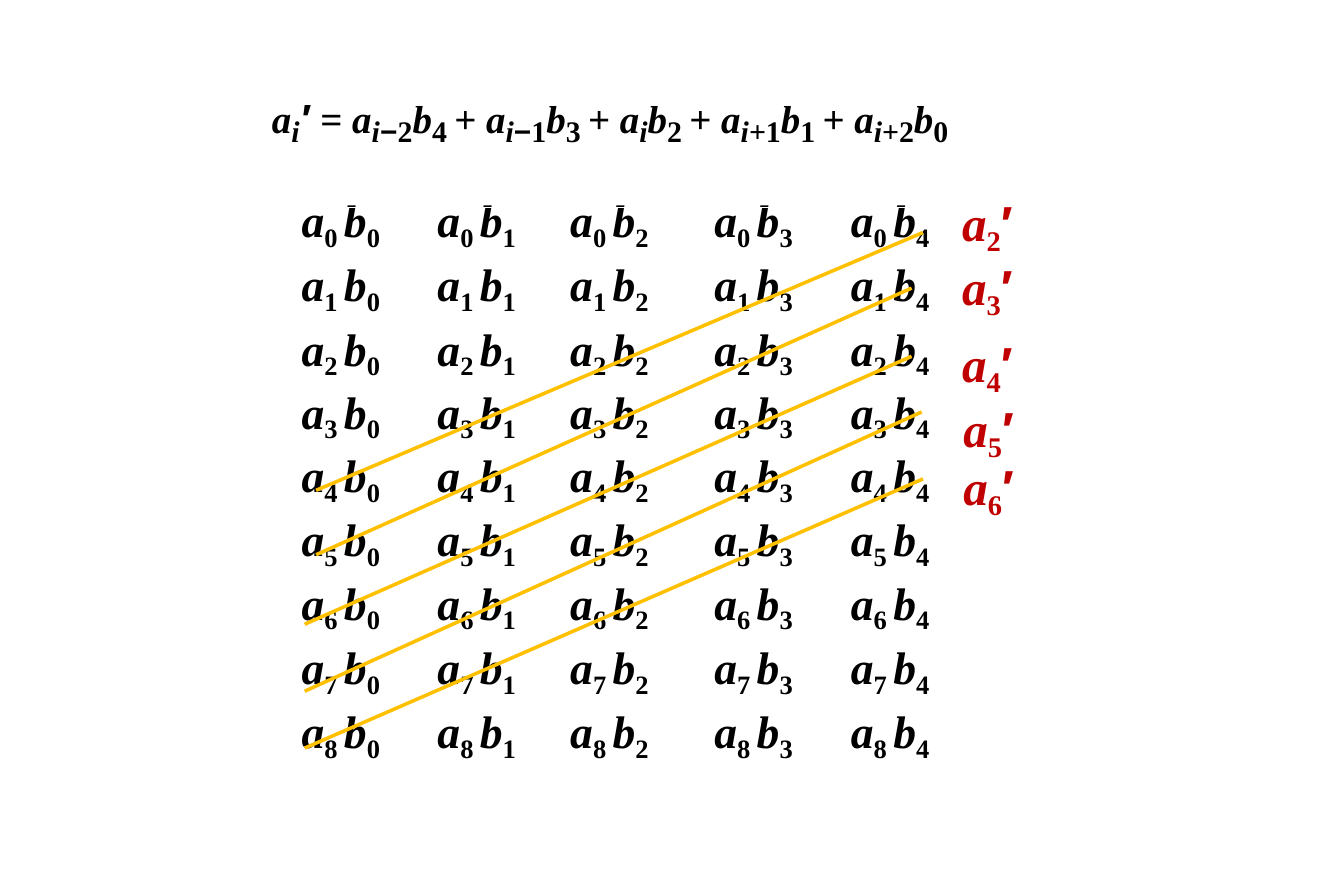
import pptx
import pptx.dml.color
import pptx.enum.shapes
import pptx.enum.text
import pptx.util
from lxml import etree

Inches, Pt = pptx.util.Inches, pptx.util.Pt
ALIGN = pptx.enum.text.PP_ALIGN
SERIF, SANS = "Times New Roman", "Arial"
BLACK, RED, GOLD = "000000", "C00000", "FFC000"

# Content: formula terms are (index offset of a, index of b)
FORMULA_TERMS = [("−2", "4"), ("−1", "3"), ("", "2"), ("+1", "1"), ("+2", "0")]
TABLE_LEFT, TABLE_TOP = 2.22, 1.64
# Columns: width, alignment, left margin, right margin
COLUMNS = [
    (1.01, ALIGN.CENTER, 0, 0.06),
    (1.08, ALIGN.CENTER, 0, 0),
    (1.08, ALIGN.LEFT, 0.2, 0),
    (1.08, ALIGN.RIGHT, 0, 0.2),
    (1.01, ALIGN.RIGHT, 0, 0.13),
]
ROW_HEIGHTS = [0.48, 0.51, 0.5, 0.5, 0.51, 0.5, 0.51, 0.51, 0.48]
DIAGONALS = [
    (7.3, 1.84, 2.5, 3.88),
    (7.21, 2.28, 2.5, 4.39),
    (7.21, 2.82, 2.41, 4.94),
    (7.29, 3.26, 2.41, 5.47),
    (7.3, 3.79, 2.41, 5.92),
]
# Result labels: index, left, top
RESULTS = [("2", 7.58, 1.51), ("3", 7.58, 2.02), ("4", 7.58, 2.63),
           ("5", 7.59, 3.14), ("6", 7.59, 3.6)]


def rgb(value):
    return pptx.dml.color.RGBColor.from_string(value)


def add_run(paragraph, text, size, color=BLACK, italic=True, baseline=0, font=SERIF):
    run = paragraph.add_run()
    run.text = text
    run.font.name, run.font.size = font, Pt(size)
    run.font.bold, run.font.italic = True, italic
    run.font.color.rgb = rgb(color)
    properties = run._r.get_or_add_rPr()
    properties.set("spc", "-10")
    if baseline:
        properties.set("baseline", str(baseline * 1000))


def add_text_box(slide, left, top, width, height, anchor):
    shape = slide.shapes.add_textbox(*map(Inches, (left, top, width, height)))
    frame = shape.text_frame
    frame.word_wrap = True
    frame.vertical_anchor = anchor
    frame.margin_left = Inches(0.03)
    frame.margin_right = frame.margin_bottom = 0
    frame.margin_top = Inches(0.01)
    return frame.paragraphs[0]


def add_formula(slide):
    paragraph = add_text_box(slide, 2.12, 0.67, 5.86, 0.47,
                             pptx.enum.text.MSO_ANCHOR.MIDDLE)

    def letter(text, italic=True):
        add_run(paragraph, text, 38.3, italic=italic, baseline=14)

    def index(text, italic=False, font=SERIF):
        add_run(paragraph, text, 17, italic=italic, font=font)

    letter("a")
    index("i", italic=True)
    add_run(paragraph, "′ ", 39.9, baseline=13, font=SANS)
    letter("= ", italic=False)
    for number, (offset, b_index) in enumerate(FORMULA_TERMS):
        if number:
            letter("+ ", italic=False)
        letter("a")
        index("i", italic=True)
        if offset.startswith("−"):
            index("−", font=SANS)
            index(offset[1:])
        elif offset:
            index(offset)
        letter("b")
        last = number == len(FORMULA_TERMS) - 1
        index(b_index if last else b_index + " ")


def add_products(slide):
    width = sum(column[0] for column in COLUMNS)
    table = slide.shapes.add_table(
        len(ROW_HEIGHTS), len(COLUMNS), Inches(TABLE_LEFT), Inches(TABLE_TOP),
        Inches(width), Inches(sum(ROW_HEIGHTS))).table
    table.first_row = table.horz_banding = False
    for j, (column_width, align, left, right) in enumerate(COLUMNS):
        table.columns[j].width = Inches(column_width)
        for i, row_height in enumerate(ROW_HEIGHTS):
            table.rows[i].height = Inches(row_height)
            cell = table.cell(i, j)
            cell.fill.background()
            cell.margin_top = cell.margin_bottom = 0
            cell.margin_left, cell.margin_right = Inches(left), Inches(right)
            paragraph = cell.text_frame.paragraphs[0]
            paragraph.alignment = align
            paragraph.line_spacing = Pt(27.9 if i else 26.2)
            for letter, index in (("a", f"{i} "), ("b", str(j))):
                add_run(paragraph, letter, 26)
                add_run(paragraph, index, 26, italic=False, baseline=-21)


def add_diagonal(slide, points):
    line = slide.shapes.add_connector(
        pptx.enum.shapes.MSO_CONNECTOR.STRAIGHT, *map(Inches, points))
    line.line.color.rgb = rgb(GOLD)
    line.line.width = Pt(2)
    etree.SubElement(line._element.spPr, pptx.oxml.ns.qn("a:effectLst"))


def add_result(slide, index, left, top):
    paragraph = add_text_box(slide, left, top, 1.24, 0.5,
                             pptx.enum.text.MSO_ANCHOR.TOP)
    add_run(paragraph, "a", 28, RED)
    add_run(paragraph, index, 28, RED, italic=False, baseline=-21)
    add_run(paragraph, "′", 28, RED, italic=False, font=SANS)


def main():
    presentation = pptx.Presentation()
    presentation.slide_width = Inches(10.63)
    presentation.slide_height = Inches(7.09)
    slide = presentation.slides.add_slide(presentation.slide_layouts[6])
    # Products, diagonals that sum them, then the labels
    add_products(slide)
    for points in DIAGONALS:
        add_diagonal(slide, points)
    for result in RESULTS:
        add_result(slide, *result)
    add_formula(slide)
    presentation.save("out.pptx")


if __name__ == "__main__":
    main()
